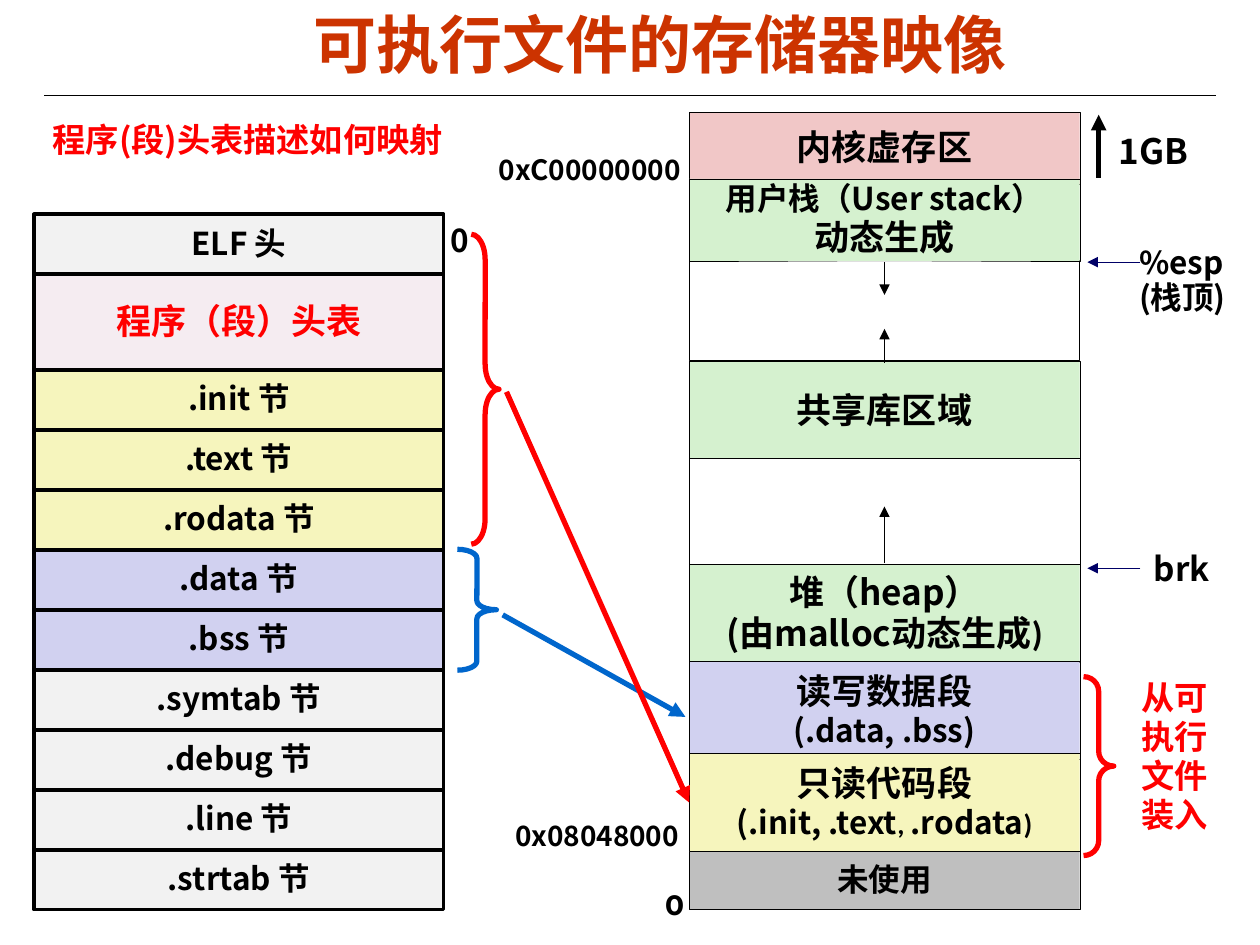
from itertools import accumulate
from lxml.etree import SubElement
from pptx import Presentation
from pptx.dml.color import RGBColor
from pptx.enum.shapes import MSO_CONNECTOR, MSO_SHAPE
from pptx.enum.text import MSO_ANCHOR, MSO_AUTO_SIZE, PP_ALIGN
from pptx.oxml.ns import qn
from pptx.util import Inches, Pt

HUES = {
    "black": "000000", "white": "FFFFFF", "title": "CC3300", "red": "FF0000",
    "blue": "0066CC", "navy": "000066", "pink": "F1C7C7", "green": "D5F1CF",
    "gray": "BFBFBF", "pale": "F2F2F2", "lilac": "D1D1F0", "cream": "F6F5BD",
    "plum": "993366",
}
SANS = "Noto Sans CJK SC"
BODY = "Calibri"


def hue(name):
    return RGBColor.from_string(HUES[name])


def write(shape, lines, color="black", align=PP_ALIGN.LEFT, space=0.98, wrap=False):
    frame = shape.text_frame
    frame.word_wrap = wrap
    for i, line in enumerate(lines):
        para = frame.paragraphs[0] if i == 0 else frame.add_paragraph()
        para.alignment = align
        para.line_spacing = space
        for text, size, face in line:
            run = para.add_run()
            run.text = text
            font = run.font
            font.size = Pt(size)
            font.name = face
            font.bold = True
            font.color.rgb = hue(color)
            SubElement(run._r.get_or_add_rPr(), qn("a:ea")).set("typeface", face)


def label(slide, box, text, size, color="black", face=SANS, space=0.94, wrap=False):
    shape = slide.shapes.add_textbox(*map(Inches, box))
    write(shape, [[(line, size, face)] for line in text], color, space=space, wrap=wrap)
    shape.text_frame.auto_size = MSO_AUTO_SIZE.SHAPE_TO_FIT_TEXT
    return shape


def block(slide, box, fill, width, lines=(), color="black", alpha=None):
    shape = slide.shapes.add_shape(MSO_SHAPE.RECTANGLE, *map(Inches, box))
    shape.shadow.inherit = False
    shape.fill.solid()
    shape.fill.fore_color.rgb = hue(fill)
    if alpha:
        tint = shape._element.spPr.find(qn("a:solidFill"))[0]
        SubElement(tint, qn("a:alpha")).set("val", str(alpha * 1000))
    shape.line.color.rgb = hue("black")
    shape.line.width = Pt(width)
    shape.text_frame.vertical_anchor = MSO_ANCHOR.MIDDLE
    write(shape, lines, color, PP_ALIGN.CENTER)


def line(slide, start, end, color, width, head=True):
    link = slide.shapes.add_connector(
        MSO_CONNECTOR.STRAIGHT, *map(Inches, (*start, *end)))
    link.line.color.rgb = hue(color)
    link.line.width = Pt(width)
    if head:
        SubElement(link.line._get_or_add_ln(), qn("a:tailEnd")).set("type", "triangle")
    SubElement(link._element.spPr, qn("a:effectLst"))


def brace(slide, box, color, curve):
    shape = slide.shapes.add_shape(MSO_SHAPE.RIGHT_BRACE, *map(Inches, box))
    shape.adjustments[0] = curve
    shape.shadow.inherit = False
    shape.fill.background()
    shape.line.color.rgb = hue(color)
    shape.line.width = Pt(3)


def header(slide, box):
    left, top, wide, high = box
    line(slide, (0.35, top + 0.76), (9.65, top + 0.76), "black", 0.75, False)
    shape = slide.shapes.add_textbox(*map(Inches, box))
    shape.text_frame.vertical_anchor = MSO_ANCHOR.MIDDLE
    write(shape, [[("可执行文件的存储器映像", 36, "Arial")]], "title",
          PP_ALIGN.CENTER, 1, True)


def memory(slide, box):
    left, top, wide, high = box
    parts = [
        (1.18, 0.79, "white", []),
        (0, 0.57, "pink", [[("内核虚存区", 20, SANS)]]),
        (1.98, 0.78, "green", [[("共享库区域", 20, SANS)]]),
        (2.75, 0.84, "white", []),
        (3.59, 0.78, "green", [[("堆（heap）", 20, SANS)],
                               [("(由malloc动态生成", 20, SANS), (")", 20, BODY)]]),
        (0.53, 0.65, "green", [[("用户栈（User stack）", 18, SANS)],
                               [("动态生成", 20, BODY)]]),
        (5.87, 0.46, "gray", [[("未使用", 18, SANS)]]),
        (4.36, 0.78, "lilac", [[("读写数据段", 20, SANS)],
                               [("(.data, .bss)", 18, SANS)]]),
        (5.09, 0.78, "cream", [[("只读代码段", 20, SANS)],
                               [("(.init, .text", 18, SANS), (", ", 16, BODY),
                                (".rodata", 18, SANS), (")", 16, BODY)]]),
    ]
    for drop, tall, fill, lines in parts:
        width = 0.25 if drop != 1.18 else 0.75
        block(slide, (left, top + drop, wide, tall), fill, width, lines)
    mid = left + wide / 2
    for start, end in [(1.19, 1.45), (1.99, 1.72), (3.58, 3.13)]:
        line(slide, (mid, top + start), (mid, top + end), "black", 0.25)
    label(slide, (left - 1.61, top + 0.29, 1.71, 0.35), ["0xC00000000"], 16)
    label(slide, (left - 1.48, top + 5.58, 1.56, 0.35), ["0x08048000"], 16)
    label(slide, (left - 0.29, top + 6.12, 0.35, 0.36), ["0"], 16,
          face="Montserrat", space=0.98)


def notes(slide, box):
    left, top, wide, high = box
    line(slide, (left + 0.12, top + 0.52), (left + 0.12, top + 0.02), "black", 3)
    label(slide, (left + 0.18, top + 0.09, 0.92, 0.43), ["1GB"], 20, space=1, wrap=True)
    for drop in (1.19, 3.62):
        line(slide, (left + 0.45, top + drop), (left + 0.03, top + drop), "navy", 0.25)
    stack = label(slide, (left + 0.44, top + 1.01, 0.8, 0.68),
                  ["%esp", "(栈顶)"], 18, wrap=True)
    stack.text_frame.margin_left = stack.text_frame.margin_right = 0
    label(slide, (left + 0.46, top + 3.44, 0.64, 0.4), ["brk"], 19)
    brace(slide, (left, top + 4.48, 0.24, 1.42), "red", 0.49)
    label(slide, (left + 0.36, top + 4.45, 0.82, 1.34), ["从可执行文件装入"], 19,
          "red", BODY, 0.98, True)


def program(slide, box):
    left, top, wide, high = box
    rows = [("ELF 头", "pale"), ("程序（段）头表", "plum")]
    for names, fill in [(("init", "text", "rodata"), "cream"),
                        (("data", "bss"), "lilac"),
                        (("symtab", "debug", "line", "strtab"), "pale")]:
        rows += [(f".{name} 节", fill) for name in names]
    table = 0.76
    step = (high - table) / (len(rows) - 1)
    sizes = [table if fill == "plum" else step for text, fill in rows]
    tops = accumulate(sizes, initial=top)
    for (text, fill), tall, drop in zip(rows, sizes, tops):
        key = fill == "plum"
        block(slide, (left, drop, wide, tall), fill, 2,
              [[(text, 20 if key else 18, SANS)]],
              "red" if key else "black", 9 if key else None)
    label(slide, (left + 0.05, top - 0.8, 3.57, 0.42), ["程序(段)头表描述如何映射"],
          19, "red", space=1, wrap=True)
    label(slide, (left + 3.21, top + 0.02, 0.35, 0.4), ["0"], 18, space=0.98)


def links(slide, box):
    left, top, wide, high = box
    line(slide, (left + 0.36, top + 3.02), (left + 1.81, top + 3.83), "blue", 3)
    brace(slide, (left, top + 2.5, 0.31, 0.96), "blue", 0.23)
    line(slide, (left + 0.39, top + 1.25), (left + wide, top + high), "red", 3)
    brace(slide, (left + 0.11, top, 0.22, 2.46), "red", 0.92)


def main():
    deck = Presentation()
    deck.slide_width = Inches(10)
    deck.slide_height = Inches(7.5)
    slide = deck.slides.add_slide(deck.slide_layouts[6])
    header(slide, (0.47, 0, 9.53, 0.68))
    memory(slide, (5.47, 0.89, 3.1, 6.33))
    notes(slide, (8.6, 0.89, 1.24, 5.9))
    program(slide, (0.27, 1.7, 3.25, 5.52))
    links(slide, (3.63, 1.86, 1.84, 4.51))
    deck.save("out.pptx")


if __name__ == "__main__":
    main()
